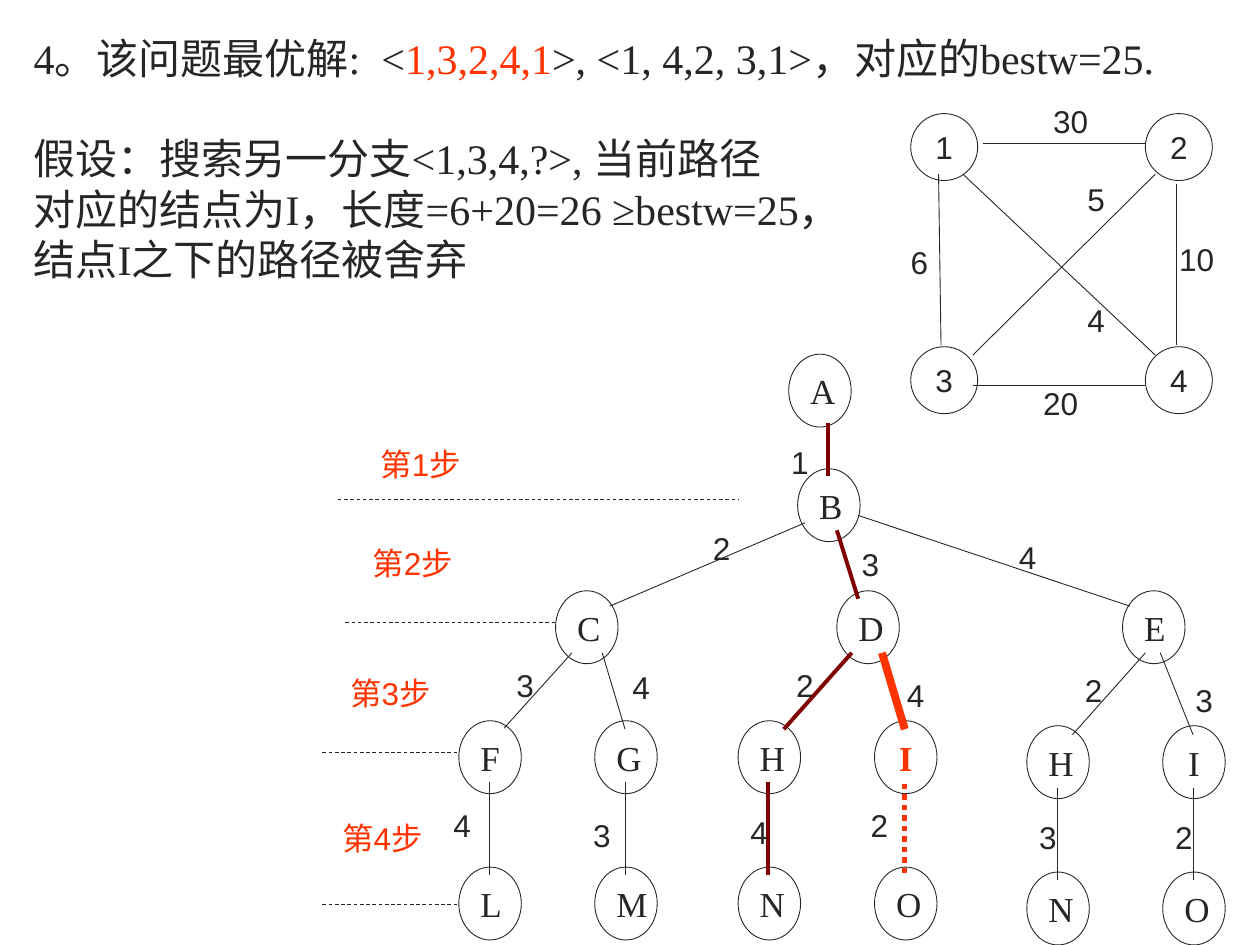
"""Build a slide on pruning a travelling-salesman search tree."""
from lxml import etree
from pptx import Presentation
from pptx.dml.color import RGBColor
from pptx.enum.dml import MSO_LINE
from pptx.enum.shapes import MSO_CONNECTOR, MSO_SHAPE
from pptx.enum.text import MSO_ANCHOR, PP_ALIGN
from pptx.oxml.ns import qn
from pptx.util import Cm, Pt

STRAIGHT = MSO_CONNECTOR.STRAIGHT
OVAL = MSO_SHAPE.OVAL
DASH = MSO_LINE.DASH
DOTS = MSO_LINE.ROUND_DOT
MIDDLE = MSO_ANCHOR.MIDDLE
CENTER = PP_ALIGN.CENTER
COLORS = {"ink": "262626", "red": "FF3300", "path": "800000"}
SERIF, SANS = "Times New Roman", "Arial"

EXPLANATION = [
    [("4。该问题最优解:  <", "ink"), ("1,3,2,4,1", "red"),
     (">, <1, 4,2, 3,1>，对应的bestw=25.", "ink")],
    [("假设：搜索另一分支<1,3,4,?>, 当前路径", "ink")],
    [("对应的结点为I，长度=6+20=26 ≥bestw=25，", "ink")],
    [("结点I之下的路径被舍弃", "ink")],
]
TREE_ROWS = [
    (7.14, [("A", 15.9)]),
    (9.45, [("B", 16.08)]),
    (11.91, [("C", 11.2), ("D", 16.87), ("E", 22.63)]),
    (14.53, [("F", 9.25), ("G", 11.99), ("H", 14.88), ("I", 17.63)]),
    (14.63, [("H", 20.7), ("I", 23.44)]),
    (17.48, [("L", 9.25), ("M", 11.99), ("N", 14.88), ("O", 17.63)]),
    (17.58, [("N", 20.7), ("O", 23.44)]),
]
PATH = ("path", 2.25)
TREE_EDGES = [
    ((16.69, 8.53, 16.69, 9.6), PATH),
    ((16.23, 10.54, 12.29, 12.22), ()),
    ((16.87, 10.69, 17.3, 12.07), PATH),
    ((17.3, 10.39, 22.78, 12.22), ()),
    ((11.53, 13.16, 10.16, 14.68), ()),
    ((12.14, 13.16, 12.6, 14.7), ()),
    ((17.17, 13.16, 15.8, 14.7), PATH),
    ((17.78, 13.16, 18.24, 14.7), ("red", 4.5)),
    ((23.09, 13.16, 21.62, 14.81), ()),
    ((23.39, 13.16, 24.05, 14.81), ()),
    ((9.86, 15.77, 9.86, 17.63), ()),
    ((12.6, 15.77, 12.6, 17.63), ()),
    ((15.49, 15.77, 15.49, 17.63), PATH),
    ((18.24, 15.8, 18.24, 17.63), ("red", 3, DOTS)),
    ((21.31, 15.88, 21.31, 17.73), ()),
    ((24.05, 15.88, 24.05, 17.73), ()),
]
TREE_LABELS = [
    ("1", 15.7, 8.81), ("2", 14.12, 10.54), ("3", 17.12, 10.87), ("4", 20.29, 10.72),
    ("3", 10.16, 13.31), ("4", 12.5, 13.34), ("2", 15.8, 13.31), ("4", 18.03, 13.51),
    ("2", 21.62, 13.41), ("3", 23.85, 13.61), ("4", 8.89, 16.13), ("3", 11.71, 16.33),
    ("4", 14.88, 16.26), ("2", 17.3, 16.13), ("3", 20.7, 16.36), ("2", 23.44, 16.36),
]
STEPS = [
    (7.42, 8.84, (6.81, 10.06, 14.88, 10.06)),
    (7.26, 10.85, (6.96, 12.55, 11.23, 12.55)),
    (6.81, 13.46, (6.5, 15.16, 9.25, 15.16)),
    (6.65, 16.38, (6.5, 18.24, 9.25, 18.24)),
]
GRAPH_NODES = [("1", 18.36, 2.29), ("2", 23.09, 2.29), ("3", 18.36, 6.99), ("4", 23.09, 6.99)]
GRAPH_EDGES = [
    (19.81, 2.9, 23.09, 2.9), (18.92, 3.51, 18.97, 6.96), (19.61, 7.77, 23.09, 7.77),
    (23.72, 3.71, 23.72, 6.96), (19.61, 7.16, 23.29, 3.51), (19.41, 3.51, 23.29, 7.16),
]
GRAPH_LABELS = [
    ("30", 20.98, 1.93), ("6", 18.11, 4.78), ("10", 23.52, 4.72),
    ("20", 20.78, 7.62), ("5", 21.67, 3.51), ("4", 21.67, 5.94),
]


def format_font(font, name, size, color, bold=False):
    """Set typeface, size, colour and weight."""
    font.name = name
    font.size = Pt(size)
    font.bold = bold
    font.color.rgb = RGBColor.from_string(COLORS[color])


def add_node(shapes, text, left, top, width, height, name, size, color="ink"):
    """Add an outlined circle with a centred letter or number."""
    node = shapes.add_shape(OVAL, Cm(left), Cm(top), Cm(width), Cm(height))
    node.shadow.inherit = False
    node.fill.background()
    node.line.color.rgb = RGBColor.from_string(COLORS["ink"])
    node.line.width = Pt(0.5)
    text_frame = node.text_frame
    text_frame.word_wrap = True
    text_frame.vertical_anchor = MIDDLE
    text_frame.text = text
    paragraph = text_frame.paragraphs[0]
    paragraph.alignment = CENTER
    format_font(paragraph.runs[0].font, name, size, color, color == "red")


def add_edge(shapes, ends, color="ink", width=0.5, dash=None):
    """Add a straight line between two points."""
    edge = shapes.add_connector(STRAIGHT, *(Cm(value) for value in ends))
    edge.line.color.rgb = RGBColor.from_string(COLORS[color])
    edge.line.width = Pt(width)
    if dash is not None:
        edge.line.dash_style = dash
    etree.SubElement(edge._element.spPr, qn("a:effectLst"))


def add_label(shapes, text, left, top, width=None, color="ink", wrap=False):
    """Add a short caption, as wide as its digits unless a width is given."""
    width = width or 0.5 + 0.36 * len(text)
    label = shapes.add_textbox(Cm(left), Cm(top), Cm(width), Cm(1.02))
    text_frame = label.text_frame
    text_frame.word_wrap = wrap
    text_frame.text = text
    format_font(text_frame.paragraphs[0].runs[0].font, SANS, 18, color)


def add_explanation(shapes):
    """Add the statement of the optimum and the pruning argument."""
    box = shapes.add_textbox(Cm(0.43), Cm(0.53), Cm(24.97), Cm(6.35))
    text_frame = box.text_frame
    text_frame.word_wrap = True
    for index, parts in enumerate(EXPLANATION):
        paragraph = text_frame.add_paragraph() if index else text_frame.paragraphs[0]
        if index == 1:
            paragraph.space_before = Pt(28.5)
        for text, color in parts:
            run = paragraph.add_run()
            run.text = text
            format_font(run.font, SERIF, 24, color)


def add_tree(shapes):
    """Add the search tree with its edge weights."""
    for top, nodes in TREE_ROWS:
        for text, left in nodes:
            color = "red" if (text, top) == ("I", 14.53) else "ink"
            add_node(shapes, text, left, top, 1.26, 1.47, SERIF, 20, color)
    for ends, style in TREE_EDGES:
        add_edge(shapes, ends, *style)
    for label in TREE_LABELS:
        add_label(shapes, *label)


def add_steps(shapes):
    """Add the numbered levels and their dashed lines."""
    for number, (left, top, ends) in enumerate(STEPS, 1):
        add_edge(shapes, ends, dash=DASH)
        add_label(shapes, f"第{number}步", left, top, 2.13, "red", True)


def add_graph(shapes):
    """Add the weighted graph as one group."""
    group = shapes.add_group_shape().shapes
    for text, left, top in GRAPH_NODES:
        add_node(group, text, left, top, 1.35, 1.35, SANS, 18)
    for ends in GRAPH_EDGES:
        add_edge(group, ends)
    for label in GRAPH_LABELS:
        add_label(group, *label)


def main():
    """Create and save the presentation."""
    presentation = Presentation()
    presentation.slide_width = Cm(25.4)
    presentation.slide_height = Cm(19.05)
    slide = presentation.slides.add_slide(presentation.slide_layouts[6])
    add_explanation(slide.shapes)
    add_tree(slide.shapes)
    add_steps(slide.shapes)
    add_graph(slide.shapes)
    presentation.save("out.pptx")


if __name__ == "__main__":
    main()
